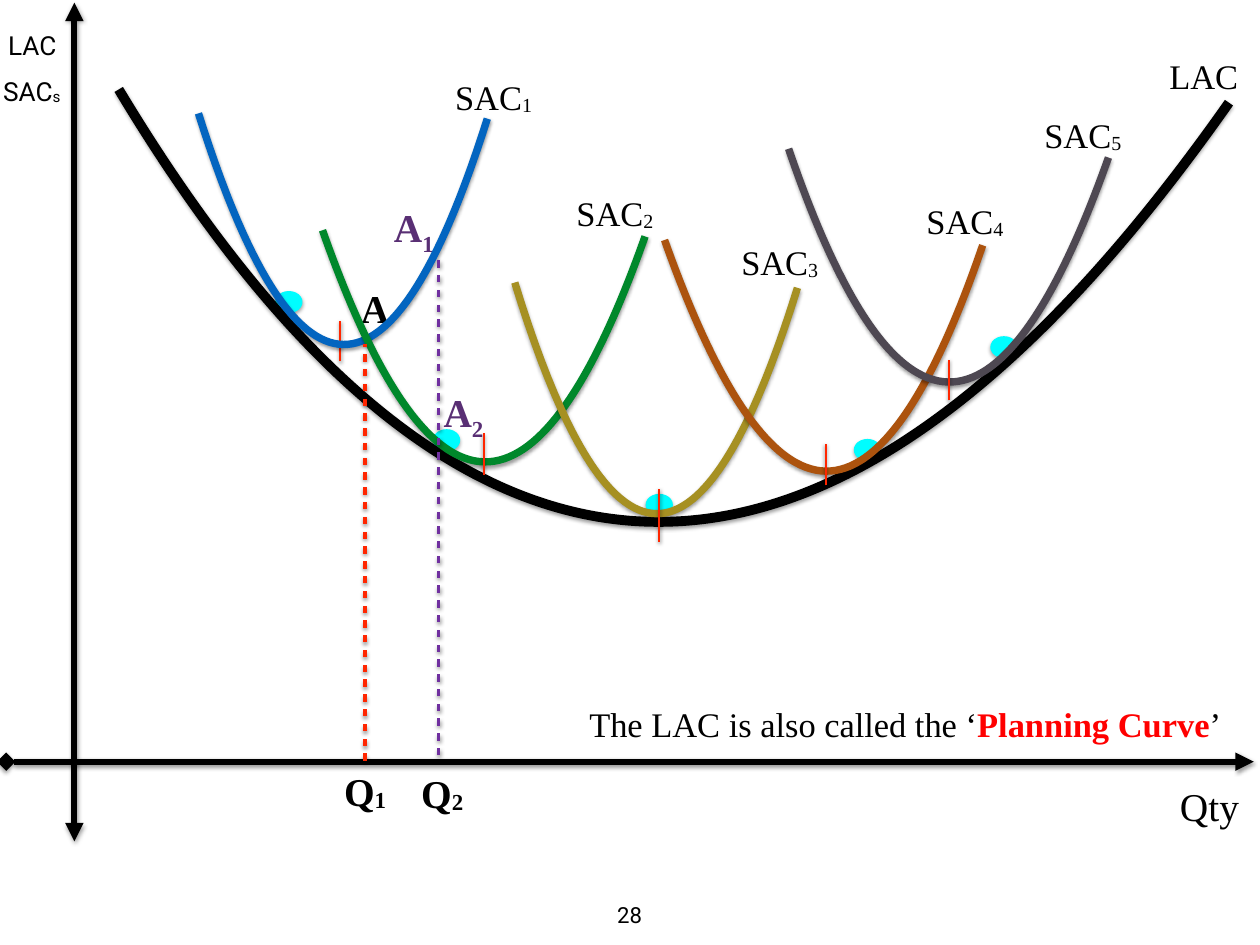
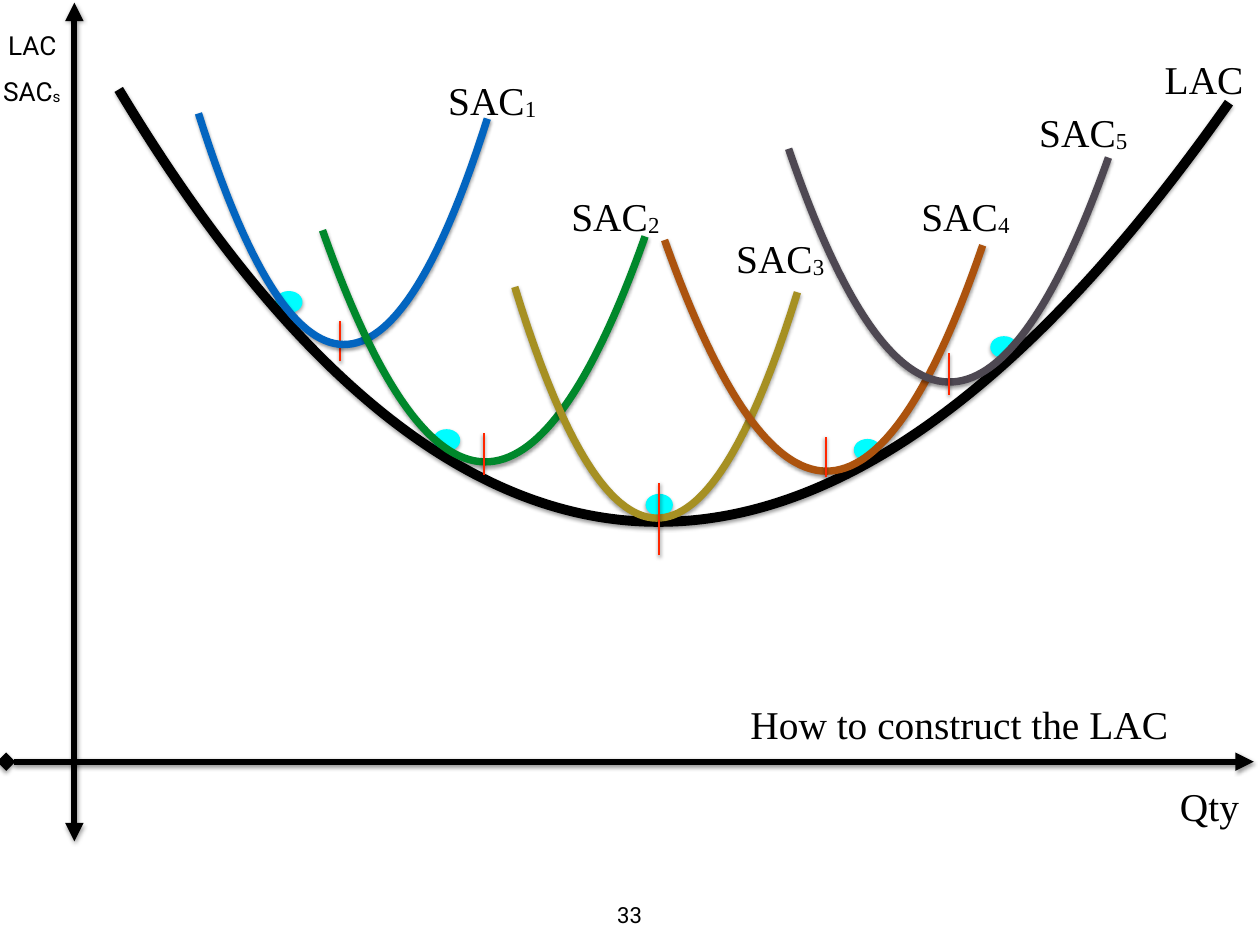
"""Build two slides that derive the long-run average cost curve from short-run curves."""
from lxml import etree
from pptx import Presentation, util as u
from pptx.dml.color import RGBColor
from pptx.enum import shapes, text
from pptx.oxml import ns

PX = 9144
SERIF, SANS = "Times New Roman", "Roboto"
BLACK, RED, TICK_RED, CYAN = "000000", "FF0000", "FF2600", "00FDFF"
PURPLE, PLUM = "7030A0", "592F74"
LOWERED, SUBSCRIPT = "-5999", "-25000"


def outline_with_shadow(shape, color, width, opacity=38, distance=1.6):
    """Give the shape a solid outline and a soft shadow below it."""
    shape.line.color.rgb = RGBColor.from_string(color)
    shape.line.width = u.Pt(width)
    effects = etree.SubElement(shape._element.spPr, ns.qn("a:effectLst"))
    shadow = etree.SubElement(effects, ns.qn("a:outerShdw"), blurRad=str(u.Pt(3)),
                              dist=str(u.Pt(distance)), dir="5400000", rotWithShape="0")
    tint = etree.SubElement(shadow, ns.qn("a:srgbClr"), val=BLACK)
    etree.SubElement(tint, ns.qn("a:alpha"), val=str(opacity * 1000))


def add_label(slide, box, size, pieces, font=SERIF, color=BLACK, bold=False,
              baseline=LOWERED, inset=7, wrap=False):
    """Add centred text; every piece after the first gets the baseline shift."""
    shape = slide.shapes.add_textbox(*[value * PX for value in box])
    frame = shape.text_frame
    frame.margin_left = frame.margin_right = inset * PX
    frame.margin_top = frame.margin_bottom = inset * PX
    frame.word_wrap = wrap
    frame.auto_size = text.MSO_AUTO_SIZE.SHAPE_TO_FIT_TEXT
    paragraph = frame.paragraphs[0]
    paragraph.alignment = text.PP_ALIGN.CENTER
    for index, piece in enumerate(pieces):
        run = paragraph.add_run()
        run.text = piece
        run.font.name, run.font.size, run.font.bold = font, u.Pt(size), bold
        run.font.color.rgb = RGBColor.from_string(color)
        if index and baseline:
            run.font._element.set("baseline", baseline)
    return paragraph


presentation = Presentation()
presentation.slide_width, presentation.slide_height = 1422 * PX, 1067 * PX

tangent_points = [(312, 330), (490, 486), (730, 559), (965, 497), (1119, 381)]
lac_curve = [(1387, 116), (940, 752), (522, 747), (134, 101)]
sac_curves = [
    ("0365C0", [(550, 134), (442, 476), (333, 474), (224, 128)]),
    ("00882B", [(728, 267), (607, 609), (486, 606), (364, 260)]),
    ("A69022", [(900, 325), (794, 667), (687, 665), (581, 319)]),
    ("AC530E", [(1109, 277), (992, 619), (873, 617), (750, 271)]),
    ("4E4852", [(1251, 178), (1130, 519), (1009, 516), (890, 168)]),
]
minimum_x = [384, 546, 744, 932, 1071]

pages = [
    dict(number="28", size=28, lac_box=(1312, 55, 93, 61), sac3_drop=0,
         sac_boxes=[(505, 79, 104, 61), (642, 210, 104, 61), (828, 265, 104, 61),
                    (1037, 219, 104, 61), (1170, 122, 104, 61)],
         ticks=[(408, 362), (536, 489), (612, 552), (548, 501), (452, 406)],
         caption_box=(656, 787, 731, 61),
         caption=["The LAC is also called the ‘", "Planning Curve", "’"],
         guides=[(TICK_RED, [(412, 859), (412, 389)]), (PURPLE, [(495, 853), (495, 291)])],
         points=[((400, 314, 47, 68), ["A"], BLACK, LOWERED),
                 ((380, 859, 64, 68), ["Q", "1"], BLACK, LOWERED),
                 ((467, 861, 64, 68), ["Q", "2"], BLACK, LOWERED),
                 ((436, 222, 62, 68), ["A", "1"], PLUM, SUBSCRIPT),
                 ((492, 431, 62, 68), ["A", "2"], PLUM, SUBSCRIPT)]),
    dict(number="33", size=32, lac_box=(1307, 55, 104, 68), sac3_drop=5,
         sac_boxes=[(495, 79, 121, 68), (636, 210, 117, 68), (822, 257, 117, 68),
                    (1031, 210, 117, 68), (1164, 115, 117, 68)],
         ticks=[(408, 362), (536, 489), (627, 545), (539, 493), (446, 399)],
         caption_box=(778, 783, 610, 68), caption=["How to construct the LAC"],
         guides=[], points=[]),
]

for page in pages:
    slide = presentation.slides.add_slide(presentation.slide_layouts[6])

    for left, top in tangent_points:
        dot = slide.shapes.add_shape(shapes.MSO_SHAPE.OVAL, left * PX, top * PX, 28 * PX, 22 * PX)
        dot.fill.solid()
        dot.fill.fore_color.rgb = RGBColor.from_string(CYAN)
        outline_with_shadow(dot, CYAN, 2, opacity=35, distance=1.8)

    for box, pieces, color, baseline in page["points"]:
        add_label(slide, box, 32, pieces, color=color, bold=True, baseline=baseline)

    curves = [(color, 6, [(x, y + page["sac3_drop"] * (index == 2)) for x, y in points], None)
              for index, (color, points) in enumerate(sac_curves)]
    ticks = [(TICK_RED, 2, [(x, bottom), (x, top)], None)
             for x, (bottom, top) in zip(minimum_x, page["ticks"])]
    guides = [(color, 3, points, "dashed") for color, points in page["guides"]]
    axes = [(BLACK, 5, [(84, 950), (84, 3)], "triangle"),
            (BLACK, 5, [(7, 860), (1415, 860)], "diamond")]
    strokes = [(BLACK, 8, lac_curve, None), *axes, ticks[0], *curves, *ticks[1:], *guides]

    for color, width, points, ending in strokes:
        if len(points) == 2:
            (x1, y1), (x2, y2) = points
            stroke = slide.shapes.add_connector(shapes.MSO_CONNECTOR.STRAIGHT,
                                                x1 * PX, y1 * PX, x2 * PX, y2 * PX)
        else:
            start, control_1, control_2, end = points
            middle = [round((a + 3 * b + 3 * c + d) / 8) for a, b, c, d in zip(*points)]
            builder = slide.shapes.build_freeform(*start, scale=PX)
            builder.add_line_segments([middle, end], close=False)
            stroke = builder.convert_to_shape()
            stroke.fill.background()
            outline = stroke._element.spPr.find(".//" + ns.qn("a:path"))
            for segment in outline.findall(ns.qn("a:lnTo")):
                outline.remove(segment)
            bend = etree.SubElement(outline, ns.qn("a:cubicBezTo"))
            for x, y in (control_1, control_2, end):
                etree.SubElement(bend, ns.qn("a:pt"), x=str(x - end[0]),
                                 y=str(y - min(start[1], end[1])))
        outline_with_shadow(stroke, color, width)
        line = stroke._element.spPr.find(ns.qn("a:ln"))
        if ending == "dashed":
            dashes = etree.SubElement(line, ns.qn("a:custDash"))
            etree.SubElement(dashes, ns.qn("a:ds"), d="200000", sp="200000")
        elif ending:
            etree.SubElement(line, ns.qn("a:headEnd"), type=ending)
            etree.SubElement(line, ns.qn("a:tailEnd"), type="triangle")

    add_label(slide, page["lac_box"], page["size"], ["LAC"])
    for number, box in enumerate(page["sac_boxes"], 1):
        add_label(slide, box, page["size"], ["SAC", str(number)])
    add_label(slide, (1324, 876, 82, 68), 32, ["Qty"])
    add_label(slide, (0, 26, 73, 50), 21.3, ["LAC"], font=SANS)
    add_label(slide, (-6, 78, 84, 50), 21.3, ["SAC", "s"], font=SANS)
    caption = add_label(slide, page["caption_box"], page["size"], page["caption"],
                        baseline=None, wrap=True)
    for run in caption.runs[1:2]:
        run.font.bold = True
        run.font.color.rgb = RGBColor.from_string(RED)
    add_label(slide, (688, 1012, 45, 42), 18, [page["number"]], font=SANS, inset=6)

presentation.save("out.pptx")
